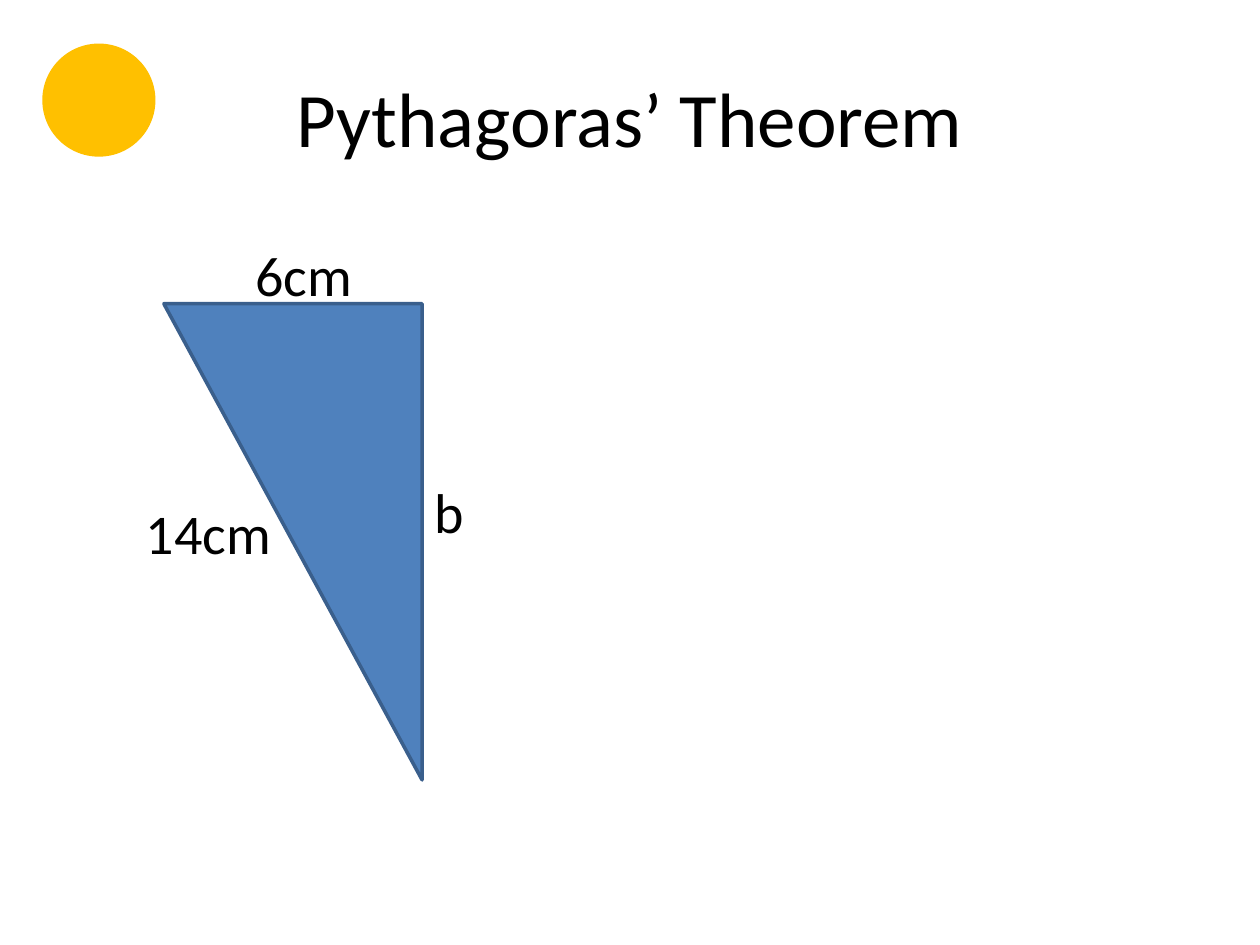
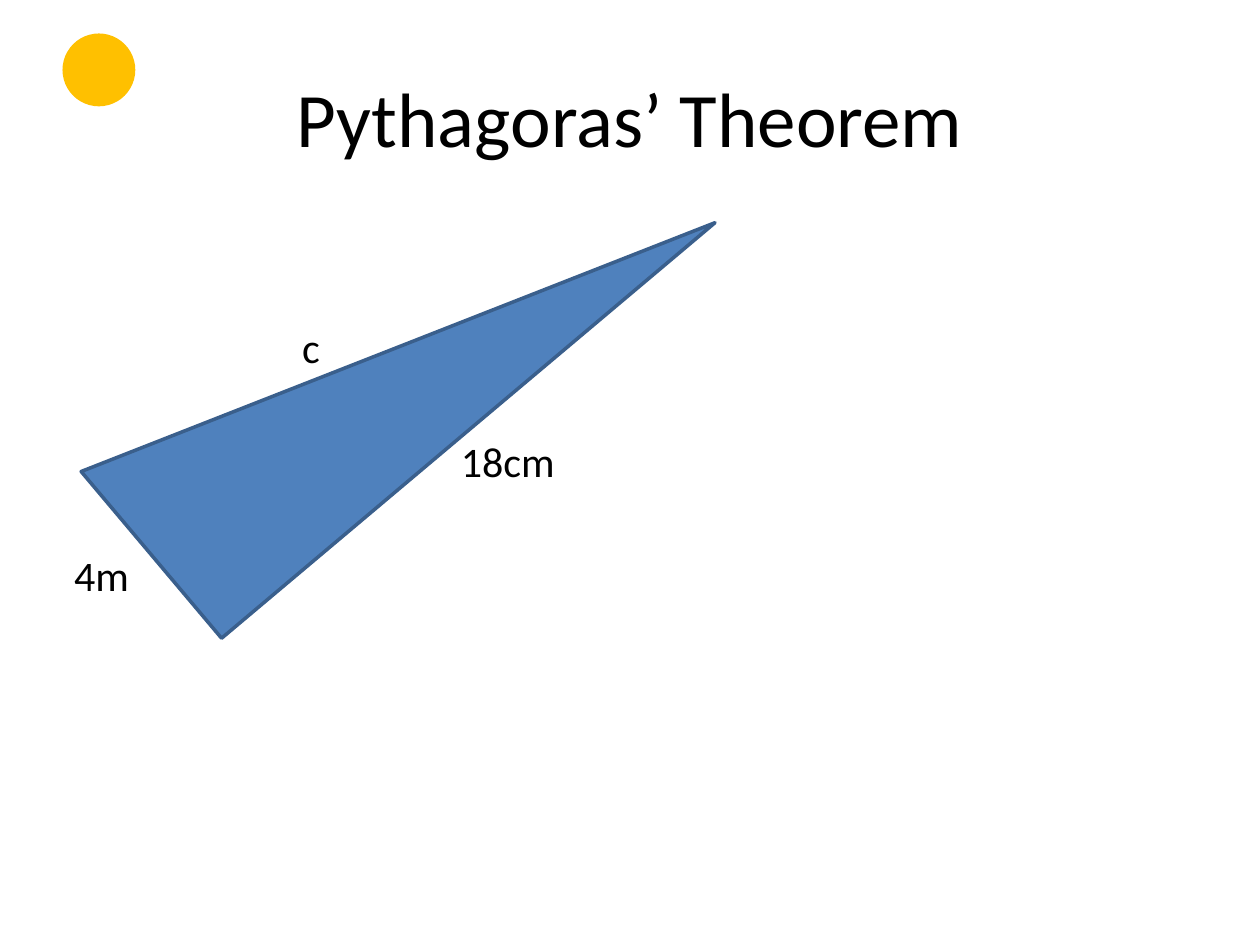
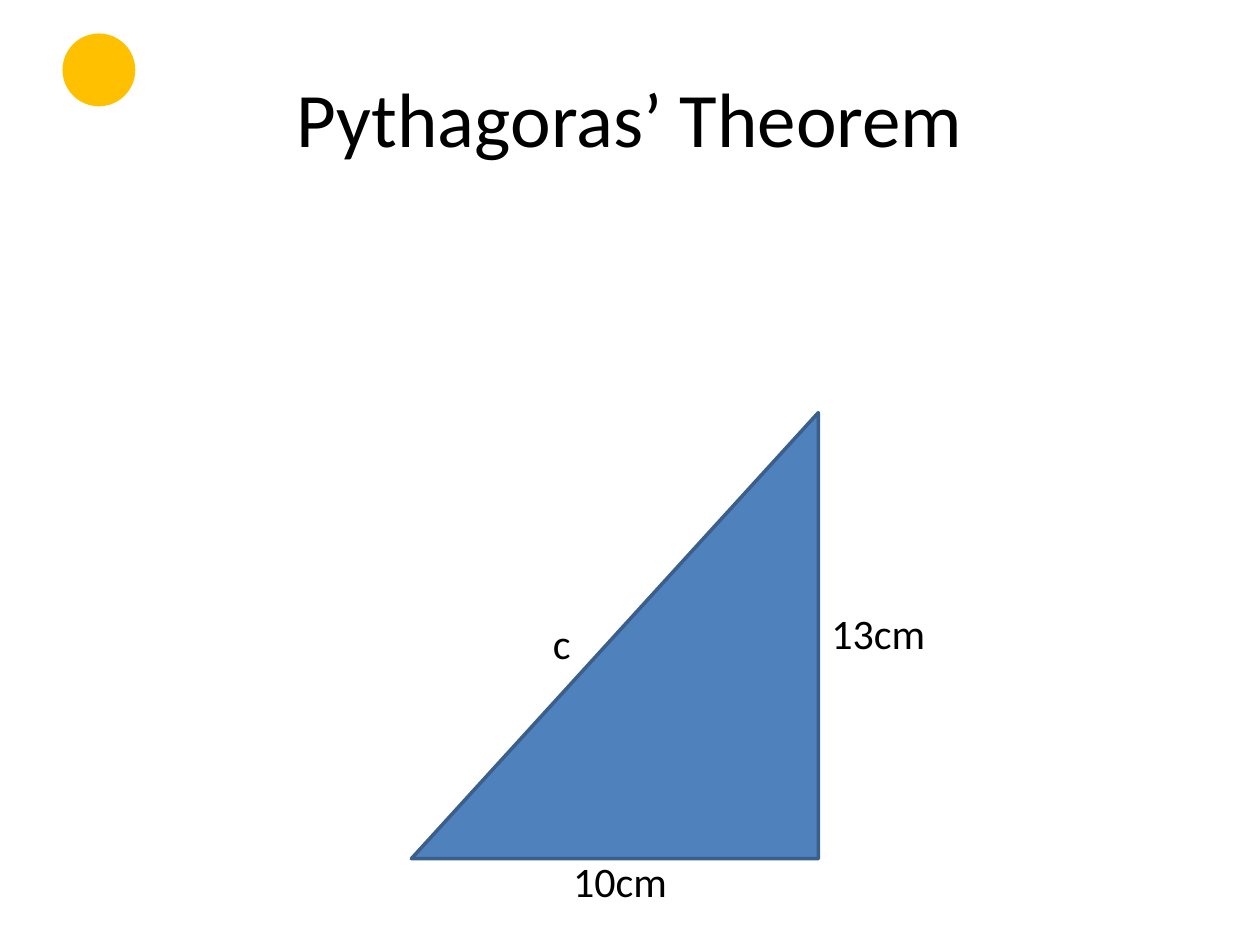
from pptx import Presentation
from pptx import util as u
from pptx.dml.color import RGBColor
from pptx.enum import shapes, text

COLORS = {"ink": "000000", "paper": "FFFFFF", "triangle": "4F81BD",
          "edge": "3A5F8C", "sun": "FFC000"}
FONT = "Calibri"
TITLE = "Pythagoras’ Theorem"
COLS, ROWS = 100, 75
CELL = u.Inches(0.1)
LARGE, SMALL = 32, 24

PROBLEMS = [
    {"triangle": (13, 24.1, 20.5, 37.8, 180),
     "label_size": LARGE,
     "labels": [("6cm", 19.3, 18.6, 11), ("14cm", 10.6, 39.1, 13.4),
                ("b", 33.5, 37.4, 11)],
     "sun": (3.5, 3.6, 8.7)},
    {"triangle": (6, 18.9, 51.2, 17.3, 319.9),
     "label_size": SMALL,
     "labels": [("18cm", 35.6, 34.1, 12.6), ("4m", 4.9, 43.1, 12.6),
                ("c", 23, 25, 12.6)],
     "sun": (5.1, 2.8, 5.5)},
    {"triangle": (31.1, 34.3, 35.4, 32.3, 270),
     "label_size": SMALL,
     "labels": [("13cm", 65, 47.7, 12.6), ("10cm", 44.5, 67.4, 12.6),
                ("c", 42.9, 48.5, 12.6)],
     "sun": (5.1, 2.8, 5.5)},
]


def rgb(name):
    return RGBColor.from_string(COLORS[name])


def grid(*cells):
    return [round(c * CELL) for c in cells]


def write(tf, content, size, align=text.PP_ALIGN.LEFT, anchor=text.MSO_ANCHOR.TOP):
    tf.word_wrap = True
    tf.vertical_anchor = anchor
    p = tf.paragraphs[0]
    p.alignment = align
    r = p.add_run()
    r.text = content
    r.font.name = FONT
    r.font.size = u.Pt(size)
    r.font.color.rgb = rgb("ink")


def add_title(s):
    sp = s.shapes.title
    sp.left, sp.top, sp.width, sp.height = grid(5, 3, COLS - 10, 12.5)
    write(sp.text_frame, TITLE, 44, align=text.PP_ALIGN.CENTER,
          anchor=text.MSO_ANCHOR.MIDDLE)


def add_figure(s, kind, box, fill, line, rotation=0):
    sp = s.shapes.add_shape(kind, *grid(*box))
    sp.rotation = rotation
    sp.shadow.inherit = False
    sp.fill.solid()
    sp.fill.fore_color.rgb = rgb(fill)
    sp.line.color.rgb = rgb(line)
    sp.line.width = u.Pt(2)


def add_triangle(s, left, top, width, height, rotation):
    add_figure(s, shapes.MSO_SHAPE.RIGHT_TRIANGLE, (left, top, width, height),
               "triangle", "edge", rotation)


def add_sun(s, left, top, size):
    add_figure(s, shapes.MSO_SHAPE.OVAL, (left, top, size, size), "sun", "sun")


def add_label(s, content, left, top, width, size):
    height = size * 0.2
    sp = s.shapes.add_textbox(*grid(left, top, width, height))
    write(sp.text_frame, content, size)
    sp.text_frame.auto_size = text.MSO_AUTO_SIZE.SHAPE_TO_FIT_TEXT


def add_problem(prs, problem):
    s = prs.slides.add_slide(prs.slide_layouts[5])
    s.background.fill.solid()
    s.background.fill.fore_color.rgb = rgb("paper")
    add_title(s)
    add_triangle(s, *problem["triangle"])
    for label in problem["labels"]:
        add_label(s, *label, problem["label_size"])
    add_sun(s, *problem["sun"])


def main():
    prs = Presentation()
    prs.slide_width, prs.slide_height = grid(COLS, ROWS)
    for problem in PROBLEMS:
        add_problem(prs, problem)
    prs.save("out.pptx")


if __name__ == "__main__":
    main()
